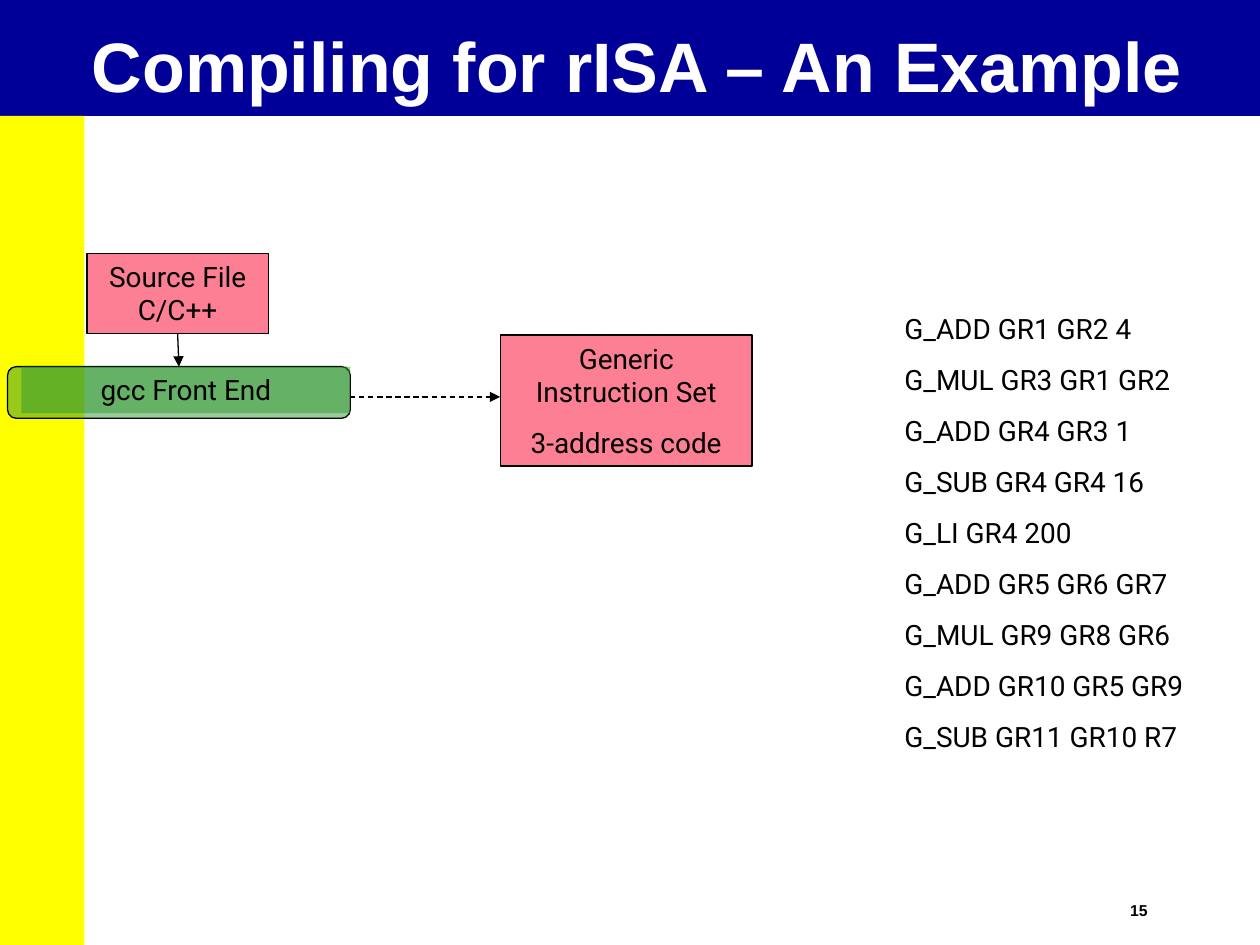
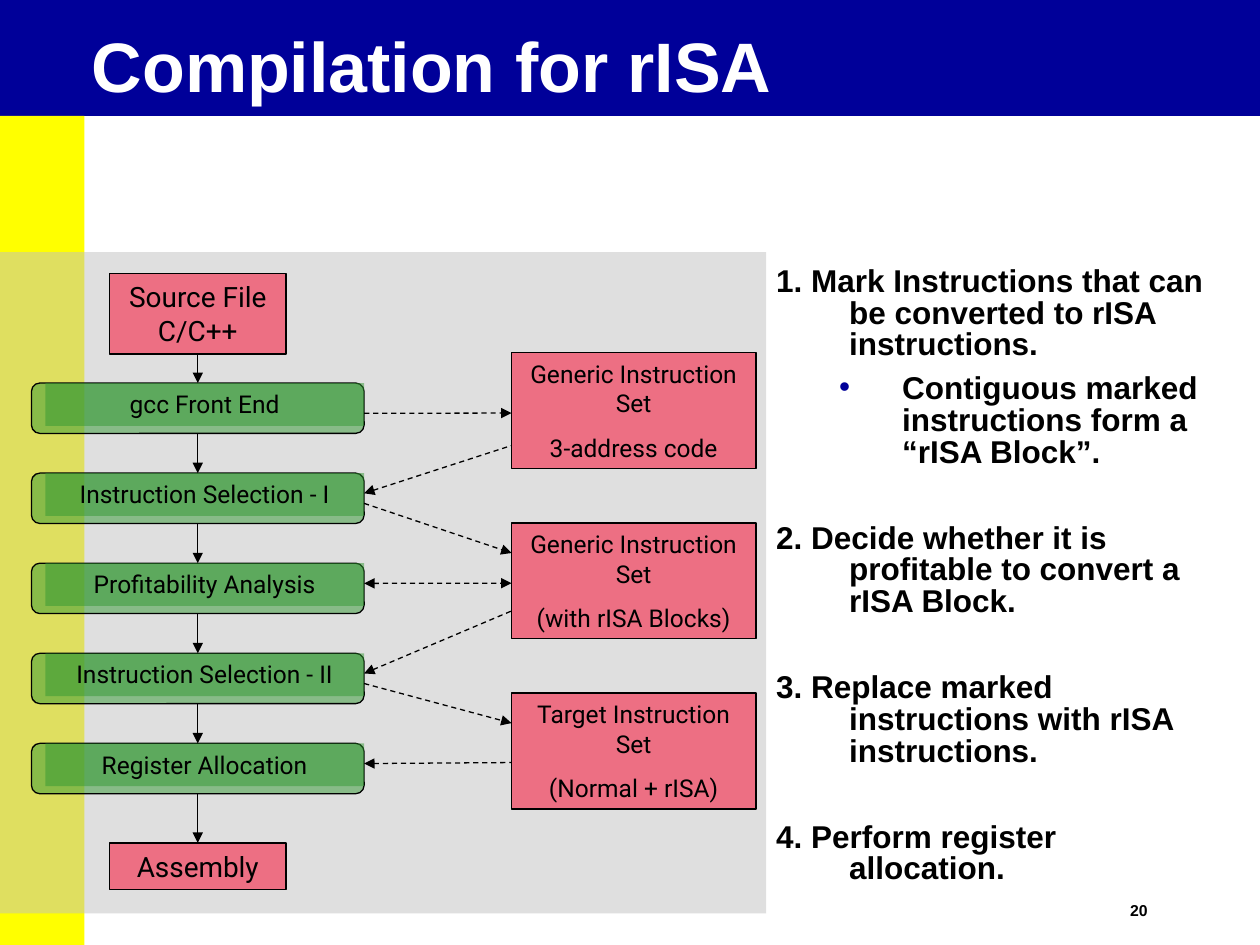
from pptx import Presentation
from pptx import util as u
from pptx.dml.color import RGBColor
from pptx.enum import dml, shapes, text
from pptx.oxml.ns import qn
from lxml import etree

# ---- content ----
EXAMPLE_TITLE, EXAMPLE_NUMBER = "Compiling for rISA – An Example", "15"
FLOW_TITLE, FLOW_NUMBER = "Compilation for rISA", "20"
SOURCE = ["Source File C/C++"]
FRONT_END = "gcc Front End"
GENERIC_CODE = ["Generic Instruction Set", "3-address code"]
GENERIC_LISTING = [
    "G_ADD GR1 GR2 4", "G_MUL GR3 GR1 GR2", "G_ADD GR4 GR3 1",
    "G_SUB GR4 GR4 16", "G_LI GR4 200", "G_ADD GR5 GR6 GR7",
    "G_MUL GR9 GR8 GR6", "G_ADD GR10 GR5 GR9", "G_SUB GR11 GR10 R7",
]
STAGES = [FRONT_END, "Instruction Selection - I", "Profitability Analysis",
          "Instruction Selection - II", "Register Allocation"]
CODE_FORMS = [
    GENERIC_CODE,
    ["Generic Instruction Set", "(with rISA Blocks)"],
    ["Target Instruction Set", "(Normal + rISA)"],
]
# stage, share of its height, code form, share of its height, arrowheads
EXCHANGES = [
    (0, 0.6, 0, 0.52, ">"), (1, 0.4, 0, 0.8, "<"), (1, 0.6, 1, 0.26, ">"),
    (2, 0.4, 1, 0.52, "<>"), (3, 0.4, 1, 0.76, "<"), (3, 0.6, 2, 0.26, ">"),
    (4, 0.4, 2, 0.6, "<"),
]
# level, space before in points, text
STEPS = [
    (0, 0, "1. Mark Instructions that can be converted to rISA instructions."),
    (1, 6.8, "Contiguous marked instructions form a “rISA Block”."),
    (0, 31, "2. Decide whether it is profitable to convert a rISA Block."),
    (0, 31, "3. Replace marked instructions with rISA instructions."),
    (0, 31, "4. Perform register allocation."),
]
STEP_INDENTS = [(0.58, -0.58), (1, -0.5)]  # left margin, first line

# ---- look ----
WIDTH, HEIGHT = 10, 7.5
BAND_HEIGHT, SIDE_WIDTH = 0.92, 0.67
NAVY = RGBColor(0x00, 0x00, 0x99)
YELLOW = RGBColor(0xFF, 0xFF, 0x00)
WHITE = RGBColor(0xFF, 0xFF, 0xFF)
BLACK = RGBColor(0x00, 0x00, 0x00)
RED = RGBColor(0xFC, 0x01, 0x28)
GREEN = RGBColor(0x33, 0x99, 0x33)
GREY = RGBColor(0xC0, 0xC0, 0xC0)
TITLE = {"name": "Arial", "size": u.Pt(40), "bold": True}
NUMBER = {"name": "Arial", "size": u.Pt(9), "bold": True}
STEP = {"name": "Arial", "size": u.Pt(18), "bold": True}
LARGE = {"name": "Roboto", "size": u.Pt(16)}
SMALL = {"name": "Roboto", "size": u.Pt(14)}
HEADING_INSETS = (0.06, 0.02)
RECT = shapes.MSO_SHAPE.RECTANGLE
ROUNDED = shapes.MSO_SHAPE.FLOWCHART_ALTERNATE_PROCESS
TOP, BOTTOM = 0, 2


def inches(values):
    return [u.Inches(value) for value in values]


def write(shape, lines, look, color=BLACK, gap=0, spacing=None,
          align=text.PP_ALIGN.LEFT, insets=(0.1, 0.05), wrap=True):
    """Fill a shape with one paragraph per line, gap points apart."""
    frame = shape.text_frame
    frame.word_wrap = wrap
    frame.vertical_anchor = text.MSO_ANCHOR.TOP
    frame.margin_left = frame.margin_right = u.Inches(insets[0])
    frame.margin_top = frame.margin_bottom = u.Inches(insets[1])
    for index, line in enumerate(lines):
        paragraph = frame.add_paragraph() if index else frame.paragraphs[0]
        paragraph.alignment = align
        paragraph.space_before = u.Pt(gap if index else 0)
        paragraph.line_spacing = spacing
        run = paragraph.add_run()
        run.text = line
        run.font.color.rgb = color
        for key, value in look.items():
            setattr(run.font, key, value)
    return frame


def box(slide, at, color, kind=RECT, outlined=False, translucent=False):
    shape = slide.shapes.add_shape(kind, *inches(at))
    shape.shadow.inherit = False
    shape.fill.solid()
    shape.fill.fore_color.rgb = color
    if translucent:
        tint = shape.fill._xPr.find(qn("a:solidFill"))[0]
        etree.SubElement(tint, qn("a:alpha"), val="50000")
    if outlined:
        shape.line.color.rgb = BLACK
        shape.line.width = u.Pt(0.75)
    else:
        shape.line.fill.background()
    return shape


def code_box(slide, at, lines, look):
    shape = box(slide, at, RED, outlined=True, translucent=True)
    write(shape, lines, look, gap=look["size"].pt * 0.625,
          align=text.PP_ALIGN.CENTER)
    return shape


def stage_box(slide, at, label, look, label_height):
    """Rounded outline with a label panel set in from its left edge."""
    left, top, width, _ = at
    outline = box(slide, at, GREEN, ROUNDED, outlined=True, translucent=True)
    panel = box(slide, (left + 0.11, top, width - 0.11, label_height), GREEN,
                translucent=True)
    write(panel, [label], look, align=text.PP_ALIGN.CENTER)
    return outline


def arrow(slide, start, end, heads=">", dashed=False):
    line = slide.shapes.add_connector(shapes.MSO_CONNECTOR.STRAIGHT,
                                      *inches((*start, *end)))
    line.line.color.rgb = BLACK
    line.line.width = u.Pt(0.75)
    if dashed:
        line.line.dash_style = dml.MSO_LINE.DASH
    for mark, tag in (("<", "a:headEnd"), (">", "a:tailEnd")):
        if mark in heads:
            etree.SubElement(line.line._get_or_add_ln(), qn(tag),
                             type="triangle")
    etree.SubElement(line._element.spPr, qn("a:effectLst"))
    return line


def join_down(slide, upper, lower):
    line = arrow(slide, (0, 0), (0, 0))
    line.begin_connect(upper, BOTTOM)
    line.end_connect(lower, TOP)


def base_slide(deck, number):
    slide = deck.slides.add_slide(deck.slide_layouts[6])
    box(slide, (0, 0, WIDTH, BAND_HEIGHT), NAVY)
    page = slide.shapes.add_textbox(*inches((8.91, 7.14, 0.72, 0.19)))
    write(page, [number], NUMBER, spacing=0.97, insets=HEADING_INSETS,
          wrap=False)
    box(slide, (0, BAND_HEIGHT, SIDE_WIDTH, HEIGHT - BAND_HEIGHT), YELLOW)
    return slide


def add_title(slide, title):
    heading = box(slide, (SIDE_WIDTH, 0.25, WIDTH - SIDE_WIDTH, 0.63), NAVY)
    write(heading, [title], TITLE, WHITE, spacing=0.87, insets=HEADING_INSETS)


def example_slide(deck):
    slide = base_slide(deck, EXAMPLE_NUMBER)
    add_title(slide, EXAMPLE_TITLE)
    listing = slide.shapes.add_textbox(*inches((7.08, 2.42, 2.58, 3.61)))
    write(listing, GENERIC_LISTING, LARGE, gap=10)
    source = code_box(slide, (0.69, 2.01, 1.44, 0.64), SOURCE, LARGE)
    front_end = stage_box(slide, (0.06, 2.91, 2.72, 0.41), FRONT_END, LARGE,
                          0.37)
    join_down(slide, source, front_end)
    code_box(slide, (3.97, 2.66, 2, 1.04), GENERIC_CODE, LARGE)
    arrow(slide, (2.78, 3.15), (3.97, 3.15), dashed=True)


def add_steps(slide):
    body = slide.shapes.add_textbox(*inches((6.08, 2.08, 3.62, 5.17)))
    frame = write(body, [step for _, _, step in STEPS], STEP, spacing=0.84,
                  insets=(0.08, 0.04))
    for paragraph, (level, gap, _) in zip(frame.paragraphs, STEPS):
        paragraph.level = level
        paragraph.space_before = u.Pt(gap)
        margin, first_line = STEP_INDENTS[level]
        props = paragraph._p.get_or_add_pPr()
        props.set("marL", str(u.Inches(margin)))
        props.set("indent", str(u.Inches(first_line)))
        if level:
            color = etree.SubElement(props, qn("a:buClr"))
            etree.SubElement(color, qn("a:srgbClr"), val=str(NAVY))
            etree.SubElement(props, qn("a:buFont"), typeface="Arial")
            etree.SubElement(props, qn("a:buChar"), char="•")


def flow_slide(deck):
    stage_left, stage_top, stage_pitch = 0.25, 3.04, 0.715
    stage_width, stage_height = 2.64, 0.4
    form_left, form_top, form_pitch = 4.06, 2.8, 1.35
    form_width, form_height = 1.94, 0.92
    end_left, end_width = 0.87, 1.4

    slide = base_slide(deck, FLOW_NUMBER)
    box(slide, (0, 2, 6.08, 5.25), GREY, translucent=True)
    add_steps(slide)
    add_title(slide, FLOW_TITLE)

    source = code_box(slide, (end_left, 2.17, end_width, 0.64), SOURCE, LARGE)
    assembly = code_box(slide, (end_left, 6.69, end_width, 0.37),
                        ["Assembly"], LARGE)
    stages = [
        stage_box(slide, (stage_left, stage_top + row * stage_pitch,
                          stage_width, stage_height), label, SMALL, 0.34)
        for row, label in enumerate(STAGES)
    ]
    chain = [source, *stages, assembly]
    for upper, lower in zip(chain, chain[1:]):
        join_down(slide, upper, lower)

    for row, lines in enumerate(CODE_FORMS):
        code_box(slide, (form_left, form_top + row * form_pitch,
                         form_width, form_height), lines, SMALL)
    for stage, stage_share, form, form_share, heads in EXCHANGES:
        stage_y = stage_top + stage * stage_pitch + stage_share * stage_height
        form_y = form_top + form * form_pitch + form_share * form_height
        arrow(slide, (stage_left + stage_width, stage_y), (form_left, form_y),
              heads, dashed=True)


def main():
    deck = Presentation()
    deck.slide_width, deck.slide_height = inches((WIDTH, HEIGHT))
    example_slide(deck)
    flow_slide(deck)
    deck.save("out.pptx")


if __name__ == "__main__":
    main()
